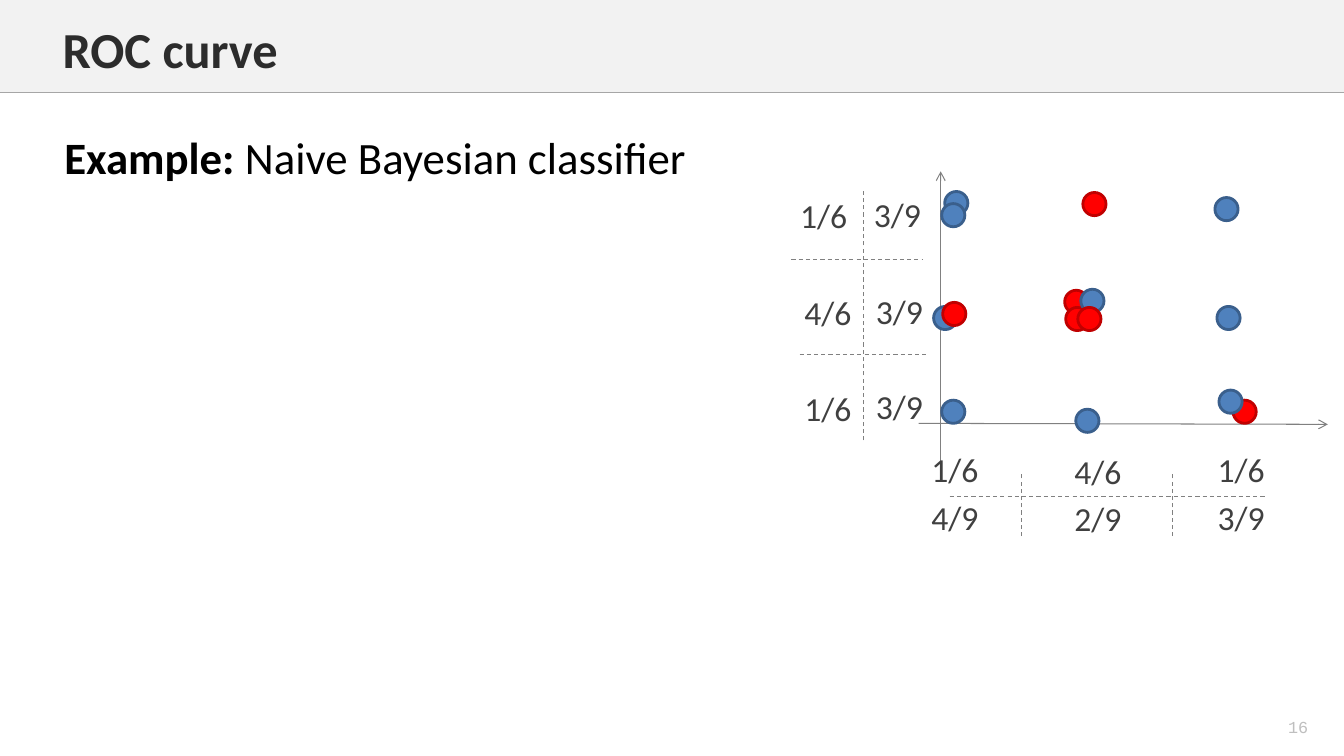
from lxml import etree
from pptx import Presentation
from pptx.dml.color import RGBColor
from pptx.enum import dml, shapes, text
from pptx.oxml.ns import qn
from pptx.util import Inches, Pt

BLACK = RGBColor(0x00, 0x00, 0x00)
TITLE = RGBColor(0x2C, 0x2C, 0x2C)
LABEL = RGBColor(0x40, 0x40, 0x40)
GREY = RGBColor(0x80, 0x80, 0x80)
RULE = RGBColor(0xA6, 0xA6, 0xA6)
PALE = RGBColor(0xBF, 0xBF, 0xBF)
BAND = RGBColor(0xF2, 0xF2, 0xF2)
BLUE = (RGBColor(0x4F, 0x81, 0xBD), RGBColor(0x3A, 0x5F, 0x8C))
RED = (RGBColor(0xFF, 0x00, 0x00), RGBColor(0xC0, 0x00, 0x00))

# Content: class points as (left, top, colours), back to front
DOT = 0.23
POINTS = [
    (9.34, 3.97, BLUE), (10.56, 2.88, RED), (9.37, 1.9, BLUE),
    (9.34, 2.02, BLUE), (10.74, 1.91, RED), (10.57, 3.05, RED),
    (12.23, 3.97, RED), (9.26, 3.04, BLUE), (10.72, 2.87, BLUE),
    (12.07, 3.04, BLUE), (10.67, 4.06, BLUE), (10.69, 3.05, RED),
    (9.35, 3, RED), (12.09, 3.87, BLUE), (12.05, 1.96, BLUE),
]
# Probabilities as (text, left, top)
LABEL_SIZE = (0.84, 0.55)
ROW_LABELS = [
    ("1/6", 7.75, 1.86), ("3/9", 8.48, 1.85),
    ("4/6", 7.79, 2.82), ("3/9", 8.5, 2.81),
    ("1/6", 7.79, 3.77), ("3/9", 8.5, 3.75),
]
COLUMN_LABELS = [
    ("1/6", 9.05, 4.38), ("4/6", 10.47, 4.4), ("1/6", 11.89, 4.38),
    ("4/9", 9.05, 4.85), ("2/9", 10.47, 4.86), ("3/9", 11.89, 4.85),
]
# Lines as (x1, y1, x2, y2)
AXES = [(9.11, 4.2, 13.17, 4.21), (9.33, 4.68, 9.33, 1.7)]
DIVIDERS = [
    (7.85, 2.57, 9.15, 2.57), (7.93, 3.52, 9.19, 3.52),
    (8.56, 4.37, 8.56, 1.87), (9.42, 4.93, 12.57, 4.93),
    (10.13, 5.32, 10.13, 4.7), (11.63, 5.32, 11.63, 4.7),
]

prs = Presentation()
prs.slide_width, prs.slide_height = Inches(13.33), Inches(7.5)
s = prs.slides.add_slide(prs.slide_layouts[5])


def place(sp, left, top, width, height):
    sp.left, sp.top = Inches(left), Inches(top)
    sp.width, sp.height = Inches(width), Inches(height)


def add_text(runs, box, sp=None, size=24, color=LABEL, font="Calibri",
             align=text.PP_ALIGN.CENTER, anchor=text.MSO_ANCHOR.MIDDLE):
    """Write (words, bold) runs into sp, or into a new text box."""
    if sp is None:
        sp = s.shapes.add_textbox(0, 0, 0, 0)
    place(sp, *box)
    tf = sp.text_frame
    tf.word_wrap = True
    tf.auto_size = text.MSO_AUTO_SIZE.NONE
    tf.vertical_anchor = anchor
    p = tf.paragraphs[0]
    p.alignment = align
    for words, bold in runs:
        r = p.add_run()
        r.text = words
        r.font.name, r.font.size, r.font.bold = font, Pt(size), bold
        r.font.color.rgb = color


def add_line(ends, color=GREY, width=0.75, dashed=False, arrow=False):
    line = s.shapes.add_connector(shapes.MSO_CONNECTOR.STRAIGHT,
                                  *[Inches(v) for v in ends])
    line.line.color.rgb, line.line.width = color, Pt(width)
    if dashed:
        line.line.dash_style = dml.MSO_LINE.DASH
    if arrow:
        etree.SubElement(line.line._get_or_add_ln(), qn("a:tailEnd"), type="arrow")
    etree.SubElement(line._element.spPr, qn("a:effectLst"))


def add_filled(kind, box, fill, outline=None):
    sp = s.shapes.add_shape(kind, 0, 0, 0, 0)
    place(sp, *box)
    sp.shadow.inherit = False
    sp.fill.solid()
    sp.fill.fore_color.rgb = fill
    if outline is None:
        sp.line.fill.background()
    else:
        sp.line.color.rgb, sp.line.width = outline, Pt(2)


# Header band and page number
add_filled(shapes.MSO_SHAPE.RECTANGLE, (0, 0, 13.33, 0.92), BAND)
add_line((0, 0.92, 13.33, 0.92), color=RULE, width=1)
add_text([("16", False)], (12.44, 7.06, 0.87, 0.31), size=12, color=PALE,
         font="Courier New")

# Scatter of the two classes
for ends in AXES:
    add_line(ends, arrow=True)
for left, top, (fill, outline) in POINTS:
    add_filled(shapes.MSO_SHAPE.FLOWCHART_CONNECTOR, (left, top, DOT, DOT),
               fill, outline)

# Probability grids beside and below the axes
for ends in DIVIDERS:
    add_line(ends, dashed=True)
for words, left, top in ROW_LABELS + COLUMN_LABELS:
    add_text([(words, False)], (left, top, *LABEL_SIZE))

# Title, brought in front of the band, and example heading
title = s.shapes.title
s.shapes._spTree.append(title._element)
add_text([("ROC curve", True)], (0.52, 0.13, 11.89, 0.71), sp=title, size=36,
         color=TITLE, align=text.PP_ALIGN.LEFT, anchor=text.MSO_ANCHOR.TOP)
add_text([("Example: ", True), ("Naive Bayesian classifier", False)],
         (0.54, 1.24, 8.5, 0.64), size=32, color=BLACK,
         align=text.PP_ALIGN.LEFT, anchor=text.MSO_ANCHOR.TOP)

prs.save("out.pptx")
